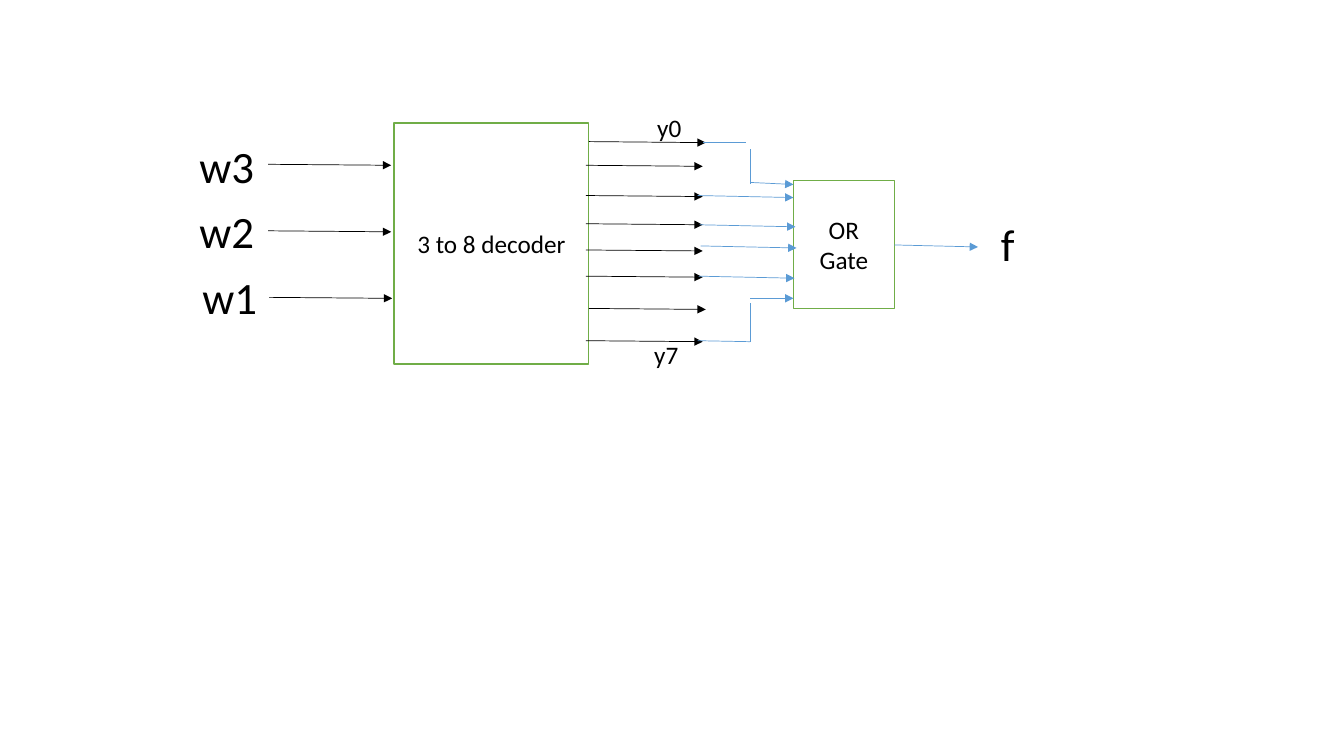
from dataclasses import dataclass

from lxml.etree import SubElement
from pptx import Presentation
from pptx.dml.color import RGBColor
from pptx.enum.shapes import MSO_CONNECTOR, MSO_SHAPE
from pptx.enum.text import MSO_ANCHOR, MSO_AUTO_SIZE, PP_ALIGN
from pptx.oxml.ns import qn
from pptx.util import Inches, Pt

SLIDE_WIDTH = Inches(13.33)
SLIDE_HEIGHT = Inches(7.5)
COLUMN = SLIDE_WIDTH / 133.3
ROW = SLIDE_HEIGHT / 75

BLACK = "000000"
WHITE = "FFFFFF"
GREEN = "70AD47"
BLUE = "5B9BD5"
FONT = "Calibri"


@dataclass(frozen=True)
class Block:
    text: str
    column: float
    row: float
    columns: float
    rows: float


@dataclass(frozen=True)
class Label:
    text: str
    column: float
    row: float
    columns: float
    rows: float
    size: int


@dataclass(frozen=True)
class Wire:
    start_column: float
    start_row: float
    end_column: float
    end_row: float
    color: str
    arrow: bool = True


BLOCKS = [
    Block("3 to 8 decoder", 39.1, 12.2, 19.3, 23.9),
    Block("OR Gate", 78.7, 17.9, 10, 12.7),
]

LABELS = [
    Label("w1", 19.1, 26.3, 7.5, 6.4, 32),
    Label("w2", 18.8, 19.7, 7.5, 6.4, 32),
    Label("w3", 18.8, 13.3, 7.5, 6.4, 32),
    Label("y0", 64.2, 10.7, 4.4, 4, 18),
    Label("y7", 63.9, 33.2, 4.4, 4, 18),
    Label("f", 98.3, 21, 3.4, 6.4, 32),
]

INPUT_STARTS = [(26.6, 16.3), (26.6, 22.9), (26.7, 29.5)]
OUTPUT_STARTS = [
    (58.4, 14.05), (58.1, 16.4), (58.1, 19.4), (58.1, 22.2),
    (58.1, 24.8), (58.1, 27.4), (58.4, 30.6), (58.1, 33.8),
]
GATE_STARTS = [(69.2, 19.4), (69.4, 22.3), (69.5, 24.4), (69.3, 27.4)]
BEND = 74.4

INPUT_WIRES = [
    Wire(column, row, column + 12.2, row + 0.1, BLACK)
    for column, row in INPUT_STARTS
]
OUTPUT_WIRES = [
    Wire(column, row, column + 11.6, row + 0.1, BLACK)
    for column, row in OUTPUT_STARTS
]
GATE_WIRES = [
    Wire(column, row, column + 9.5, row + 0.2, BLUE)
    for column, row in GATE_STARTS
]
BENT_WIRES = [
    Wire(69.7, 14.1, 74, 14.1, BLUE, False),
    Wire(BEND, 14.8, BEND, 18.3, BLUE, False),
    Wire(69.2, 33.8, BEND, 33.9, BLUE, False),
    Wire(BEND, 33.9, BEND, 30.1, BLUE, False),
    Wire(BEND, 18.1, 78.7, 18.3, BLUE),
    Wire(BEND, 29.6, 78.7, 29.6, BLUE),
]
RESULT_WIRE = Wire(88.7, 24.3, 97, 24.5, BLUE)


def color_of(value: str) -> RGBColor:
    return RGBColor.from_string(value)


def x(columns: float) -> int:
    return round(columns * COLUMN)


def y(rows: float) -> int:
    return round(rows * ROW)


def apply_format(target, values: dict) -> None:
    for name, value in values.items():
        setattr(target, name, value)


def write_text(text_frame, text: str, size: int, alignment: PP_ALIGN) -> None:
    paragraph = text_frame.paragraphs[0]
    paragraph.alignment = alignment
    run = paragraph.add_run()
    run.text = text
    apply_format(run.font, {"name": FONT, "size": Pt(size)})
    run.font.color.rgb = color_of(BLACK)


def draw_block(slide, block: Block) -> None:
    shape = slide.shapes.add_shape(
        MSO_SHAPE.RECTANGLE,
        x(block.column), y(block.row), x(block.columns), y(block.rows),
    )
    shape.shadow.inherit = False
    shape.fill.solid()
    shape.fill.fore_color.rgb = color_of(WHITE)
    shape.line.color.rgb = color_of(GREEN)
    shape.line.width = Pt(1)
    apply_format(
        shape.text_frame,
        {"word_wrap": True, "vertical_anchor": MSO_ANCHOR.MIDDLE},
    )
    write_text(shape.text_frame, block.text, 18, PP_ALIGN.CENTER)


def draw_label(slide, label: Label) -> None:
    shape = slide.shapes.add_textbox(
        x(label.column), y(label.row), x(label.columns), y(label.rows)
    )
    apply_format(
        shape.text_frame,
        {"word_wrap": False, "auto_size": MSO_AUTO_SIZE.SHAPE_TO_FIT_TEXT},
    )
    write_text(shape.text_frame, label.text, label.size, PP_ALIGN.LEFT)


def draw_wire(slide, wire: Wire) -> None:
    connector = slide.shapes.add_connector(
        MSO_CONNECTOR.STRAIGHT,
        x(wire.start_column), y(wire.start_row),
        x(wire.end_column), y(wire.end_row),
    )
    connector.line.color.rgb = color_of(wire.color)
    connector.line.width = Pt(0.5)
    properties = connector.element.spPr
    if wire.arrow:
        line = properties.find(qn("a:ln"))
        SubElement(line, qn("a:tailEnd"), type="triangle")
    SubElement(properties, qn("a:effectLst"))


def main() -> None:
    presentation = Presentation()
    apply_format(
        presentation,
        {"slide_width": SLIDE_WIDTH, "slide_height": SLIDE_HEIGHT},
    )
    slide = presentation.slides.add_slide(presentation.slide_layouts[6])
    for block in BLOCKS:
        draw_block(slide, block)
    for wire in [*INPUT_WIRES, *OUTPUT_WIRES, *BENT_WIRES, *GATE_WIRES, RESULT_WIRE]:
        draw_wire(slide, wire)
    for label in LABELS:
        draw_label(slide, label)
    presentation.save("out.pptx")


if __name__ == "__main__":
    main()
